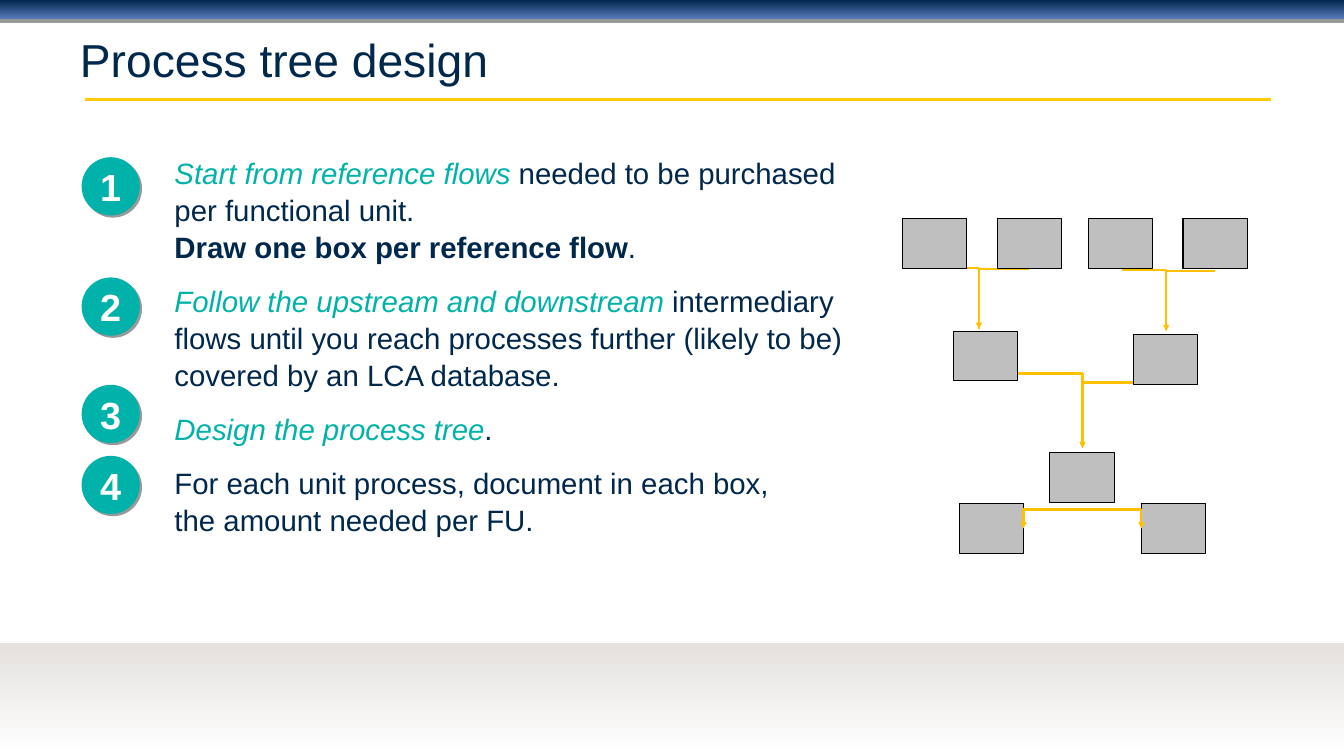
from dataclasses import dataclass
from typing import Any, NamedTuple

from lxml.etree import SubElement
from pptx import Presentation
from pptx.dml.color import RGBColor
from pptx.enum.shapes import MSO_CONNECTOR, MSO_SHAPE
from pptx.enum.text import MSO_ANCHOR, PP_ALIGN
from pptx.oxml.ns import qn
from pptx.util import Inches, Pt


@dataclass(frozen=True)
class Theme:
    font: str = "Arial"
    navy: str = "00274C"
    blue: str = "587ABC"
    maize: str = "FFCB05"
    amber: str = "FFC000"
    teal: str = "00B2A9"
    stone: str = "E4E1DF"
    grey: str = "BFBFBF"
    black: str = "000000"
    white: str = "FFFFFF"
    title_size: int = 44
    body_size: int = 28
    number_size: int = 36


class Span(NamedTuple):
    text: str
    color: str
    italic: bool = False
    bold: bool = False


class Box(NamedTuple):
    left: float
    top: float


class Flow(NamedTuple):
    start: tuple[float, float]
    end: tuple[float, float]
    arrow: bool = True


THEME = Theme()
SLIDE_WIDTH, SLIDE_HEIGHT = 17.78, 10
BOX_WIDTH, BOX_HEIGHT = 0.85, 0.66
CIRCLE_LEFT, CIRCLE_SIZE = 1.08, 0.77
CIRCLE_TOPS = [2.08, 3.67, 5.09, 6.03]

STEPS = [
    [
        Span("Start from reference flows ", THEME.teal, italic=True),
        Span("needed to be purchased\nper functional unit.\n", THEME.navy),
        Span("Draw one box per reference flow", THEME.navy, bold=True),
        Span(".", THEME.navy),
    ],
    [
        Span("Follow the upstream and downstream ", THEME.teal, italic=True),
        Span("intermediary flows until you reach processes further "
             "(likely to be) covered by an LCA database.", THEME.navy),
    ],
    [Span("Design the process tree", THEME.teal, italic=True), Span(".", THEME.navy)],
    [Span("For each unit process, document in each box,\n"
          "the amount needed per FU.", THEME.navy)],
]

FINAL_BOX = Box(13.89, 5.99)
LOWER_BOXES = [Box(12.69, 6.66), Box(15.1, 6.66)]
UPPER_BOXES = [Box(12.61, 4.38), Box(14.99, 4.43)]
UPPER_BOXES += [Box(left, 2.89) for left in (11.94, 13.19, 14.4, 15.65)]

FLOWS = [
    Flow((13.04, 4.94), (14.32, 5.93)),
    Flow((15.41, 5.06), (14.32, 5.8), arrow=False),
    Flow((12.37, 3.55), (12.95, 4.35), arrow=False),
    Flow((13.61, 3.56), (12.95, 4.35)),
    Flow((14.84, 3.57), (15.42, 4.37), arrow=False),
    Flow((16.07, 3.59), (15.43, 4.38)),
]
LOWER_FLOWS = [Flow((14.32, 6.74), (end, 6.99)) for end in (13.54, 15.1)]


def set_values(target: Any, values: dict[str, Any]) -> None:
    for name, value in values.items():
        setattr(target, name, value)


def add_span(paragraph: Any, span: Span, size: int) -> None:
    for index, text in enumerate(span.text.split("\n")):
        if index:
            paragraph.add_line_break()
        if text:
            run = paragraph.add_run()
            run.text = text
            set_values(run.font, {"name": THEME.font, "size": Pt(size),
                                  "bold": span.bold, "italic": span.italic})
            run.font.color.rgb = RGBColor.from_string(span.color)


def add_shape(slide: Any, kind: Any, left: float, top: float, width: float,
              height: float, fill: str | None = None) -> Any:
    shape = slide.shapes.add_shape(kind, Inches(left), Inches(top),
                                   Inches(width), Inches(height))
    shape.shadow.inherit = False
    shape.line.fill.background()
    if fill:
        shape.fill.solid()
        shape.fill.fore_color.rgb = RGBColor.from_string(fill)
    return shape


def add_shadow(shape: Any, angle: int) -> None:
    effects = shape._element.spPr.find(qn("a:effectLst"))
    shadow = SubElement(effects, qn("a:outerShdw"), blurRad="0", dist=str(Pt(3)),
                        dir=str(angle * 60000), algn="ctr", rotWithShape="0")
    color = SubElement(shadow, qn("a:srgbClr"), val=THEME.black)
    SubElement(color, qn("a:alpha"), val="40000")


def add_band(slide: Any, top: float, height: float, upper: str, lower: str) -> Any:
    band = add_shape(slide, MSO_SHAPE.RECTANGLE, 0, top, SLIDE_WIDTH, height)
    band.fill.gradient()
    band.fill.gradient_angle = 270
    for stop, color in zip(band.fill.gradient_stops, (upper, lower)):
        stop.color.rgb = RGBColor.from_string(color)
    return band


def add_line(slide: Any, kind: Any, start: tuple[float, float],
             end: tuple[float, float], color: str, width: float) -> Any:
    connector = slide.shapes.add_connector(kind, *map(Inches, start + end))
    connector.line.color.rgb = RGBColor.from_string(color)
    connector.line.width = Pt(width)
    SubElement(connector._element.spPr, qn("a:effectLst"))
    return connector


def add_flow(slide: Any, flow: Flow) -> None:
    connector = add_line(slide, MSO_CONNECTOR.ELBOW, flow.start, flow.end, THEME.amber, 2)
    connector._element.spPr.find(qn("a:prstGeom")).set("prst", "bentConnector2")
    if flow.arrow:
        SubElement(connector.line._get_or_add_ln(), qn("a:tailEnd"), type="triangle")


def add_box(slide: Any, box: Box) -> None:
    shape = add_shape(slide, MSO_SHAPE.RECTANGLE, box.left, box.top,
                      BOX_WIDTH, BOX_HEIGHT, THEME.grey)
    shape.line.color.rgb = RGBColor.from_string(THEME.black)
    shape.line.width = Pt(1)


def add_number(slide: Any, number: int, top: float) -> None:
    circle = add_shape(slide, MSO_SHAPE.OVAL, CIRCLE_LEFT, top,
                       CIRCLE_SIZE, CIRCLE_SIZE, THEME.teal)
    add_shadow(circle, 45)
    circle.text_frame.vertical_anchor = MSO_ANCHOR.MIDDLE
    paragraph = circle.text_frame.paragraphs[0]
    paragraph.alignment = PP_ALIGN.CENTER
    add_span(paragraph, Span(str(number), THEME.white, bold=True), THEME.number_size)


def add_text(slide: Any, left: float, top: float, width: float, height: float,
             paragraphs: list[list[Span]], size: int, anchor: Any,
             formats: dict[str, Any]) -> None:
    frame = slide.shapes.add_textbox(Inches(left), Inches(top),
                                     Inches(width), Inches(height)).text_frame
    set_values(frame, {"word_wrap": True, "vertical_anchor": anchor})
    for index, spans in enumerate(paragraphs):
        paragraph = frame.add_paragraph() if index else frame.paragraphs[0]
        set_values(paragraph, formats)
        for span in spans:
            add_span(paragraph, span, size)


def main() -> None:
    presentation = Presentation()
    set_values(presentation, {"slide_width": Inches(SLIDE_WIDTH),
                              "slide_height": Inches(SLIDE_HEIGHT)})
    slide = presentation.slides.add_slide(presentation.slide_layouts[6])

    add_shadow(add_band(slide, 0, 0.25, THEME.navy, THEME.blue), 90)
    add_line(slide, MSO_CONNECTOR.STRAIGHT, (1.12, 1.32), (16.81, 1.32), THEME.maize, 3)
    add_band(slide, 8.5, 1.5, THEME.stone, THEME.white)
    edge = add_line(slide, MSO_CONNECTOR.STRAIGHT, (0, 8.49), (SLIDE_WIDTH, 8.49),
                    THEME.stone, 0.75)
    SubElement(edge._element.spPr.find(".//" + qn("a:srgbClr")), qn("a:alpha"), val="30000")

    add_text(slide, 0.96, 0.3, 16, 0.95, [[Span("Process tree design", THEME.navy)]],
             THEME.title_size, MSO_ANCHOR.MIDDLE, {})
    add_text(slide, 2.21, 1.98, 9.85, 4.97, STEPS, THEME.body_size, MSO_ANCHOR.TOP,
             {"space_after": Pt(16), "line_spacing": 1.05})

    add_box(slide, FINAL_BOX)
    for flow in FLOWS:
        add_flow(slide, flow)
    for box in LOWER_BOXES:
        add_box(slide, box)
    for flow in LOWER_FLOWS:
        add_flow(slide, flow)
    for box in UPPER_BOXES:
        add_box(slide, box)
    for number, top in enumerate(CIRCLE_TOPS, start=1):
        add_number(slide, number, top)
    presentation.save("out.pptx")


if __name__ == "__main__":
    main()
